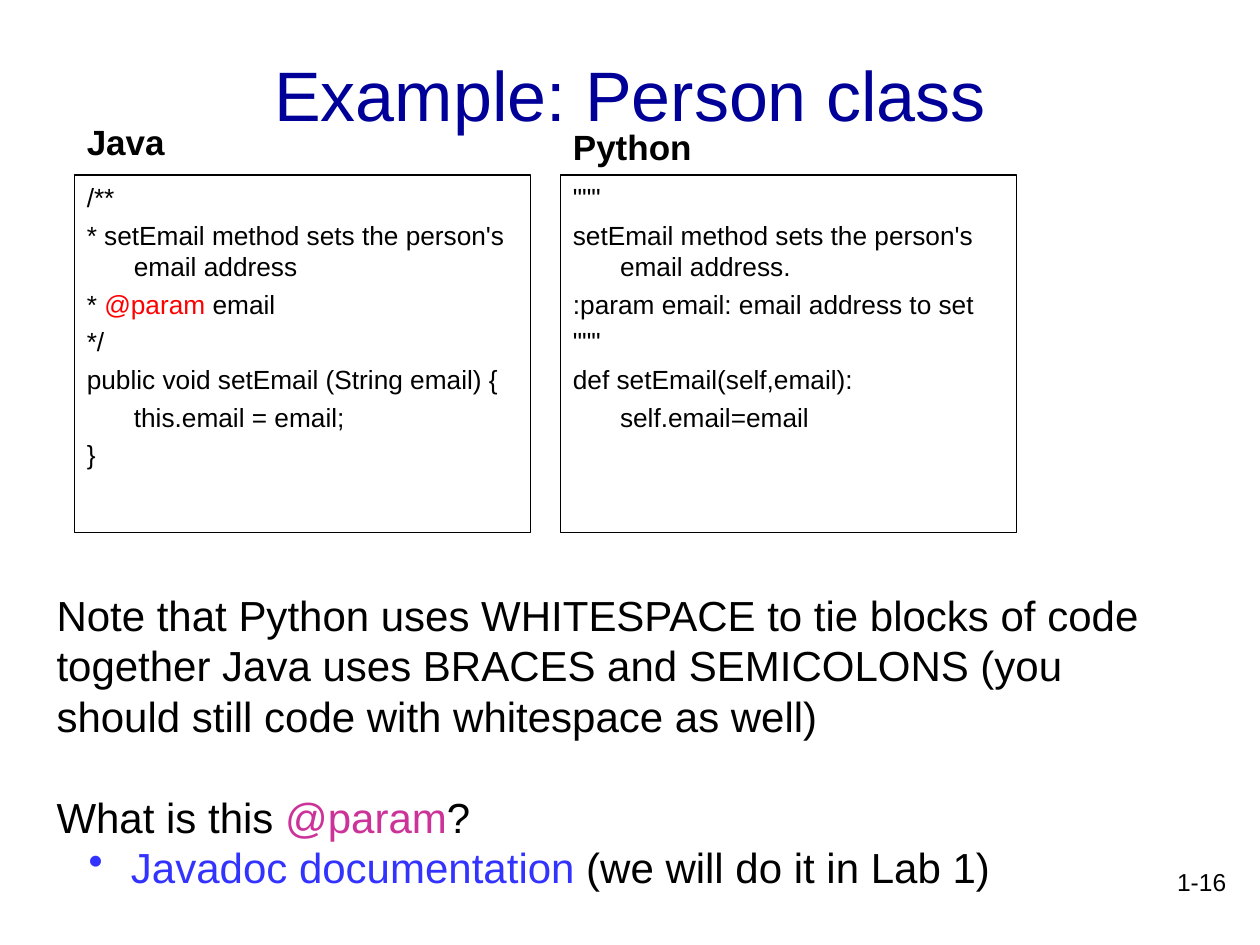
"""Build the slide that compares a Person class in Java and Python."""
from pptx import Presentation
from pptx.dml.color import RGBColor
from pptx.enum.shapes import MSO_SHAPE as SHAPE
from pptx.enum.text import MSO_ANCHOR as ANCHOR, PP_ALIGN as ALIGN
from pptx.oxml.xmlchemy import OxmlElement
from pptx.util import Cm, Pt

FONT = "Arial"
BLACK = "000000"
JAVA = [
    "/**",
    "* setEmail method sets the person's email address",
    [("* ", BLACK), ("@param", "FF0000"), (" email", BLACK)],
    "*/",
    "public void setEmail (String email) {",
    "\tthis.email = email;",
    "}",
]
PYTHON = [
    '"""',
    "setEmail method sets the person's email address.",
    ":param email: email address to set",
    '"""',
    "def setEmail(self,email):",
    "\tself.email=email",
]
NOTES = [
    "Note that Python uses WHITESPACE to tie blocks of code together "
    "Java uses BRACES and SEMICOLONS (you should still code with "
    "whitespace as well)",
    [("What is this ", BLACK), ("@param", "CC3399"), ("?", BLACK)],
    [("Javadoc documentation", "3333FF"), (" (we will do it in Lab 1)", BLACK)],
]


def rgb(value):
    """Turn a hex string into a colour."""
    return RGBColor.from_string(value)


def fill_text(tf, lines, size, color=BLACK, bold=False, align=ALIGN.LEFT):
    """Write lines, each a string or a list of coloured runs."""
    for i, line in enumerate(lines):
        p = tf.add_paragraph() if i else tf.paragraphs[0]
        p.alignment = align
        p.font.name, p.font.size, p.font.bold = FONT, Pt(size), bold
        for text, tint in [(line, color)] if isinstance(line, str) else line:
            r = p.add_run()
            r.text = text
            r.font.color.rgb = rgb(tint)


def set_indent(p, left, first):
    """Set the left margin and first-line indent of a paragraph."""
    pPr = p._p.get_or_add_pPr()
    pPr.set("marL", str(Cm(left)))
    pPr.set("indent", str(Cm(first)))
    return pPr


def add_text(s, box, lines, size, wrap=True, anchor=ANCHOR.TOP, **style):
    """Add a text box and return its text frame."""
    tf = s.shapes.add_textbox(*map(Cm, box)).text_frame
    tf.word_wrap, tf.vertical_anchor = wrap, anchor
    fill_text(tf, lines, size, **style)
    return tf


def add_code(s, left, lines):
    """Add an outlined box of code with hanging indents."""
    sp = s.shapes.add_shape(SHAPE.RECTANGLE, Cm(left), Cm(3.53), Cm(9.2), Cm(7.21))
    sp.shadow.inherit = False
    sp.fill.solid()
    sp.fill.fore_color.rgb = rgb("FFFFFF")
    sp.line.color.rgb = rgb(BLACK)
    sp.line.width = Pt(0.75)
    tf = sp.text_frame
    tf.word_wrap, tf.vertical_anchor = True, ANCHOR.TOP
    fill_text(tf, lines, 15)
    for i, p in enumerate(tf.paragraphs):
        set_indent(p, 0.95, -0.95)
        p.space_before = Pt(3.5 if i else 0)


def add_notes(s):
    """Add the remarks, the last of them bulleted."""
    tf = add_text(s, (0.89, 11.76, 22.81, 6.4), NOTES, 24)
    question, answer = tf.paragraphs[1:]
    question.space_before = Pt(28.8)
    answer.level = 1
    bullet = OxmlElement("a:buChar")
    bullet.set("char", "•")
    set_indent(answer, 1.5, -0.85).insert(0, bullet)


def main():
    """Build and save the slide."""
    prs = Presentation()
    prs.slide_width, prs.slide_height = Cm(25.4), Cm(19.05)
    s = prs.slides.add_slide(prs.slide_layouts[6])
    add_text(s, (19.69, 17.35, 5.28, 1.27), ["1-16"], 14, align=ALIGN.RIGHT)
    add_text(s, (1.9, 0.91, 21.6, 1.96), ["Example: Person class"], 40,
             anchor=ANCHOR.MIDDLE, color="000099", align=ALIGN.CENTER)
    add_notes(s)
    for name, left, top, width, code in (
        ("Java", 1.5, 2.31, 2.11, JAVA),
        ("Python", 11.3, 2.41, 2.92, PYTHON),
    ):
        add_code(s, left, code)
        add_text(s, (left, top, width, 1.12), [name], 20, wrap=False, bold=True)
    prs.save("out.pptx")


if __name__ == "__main__":
    main()
